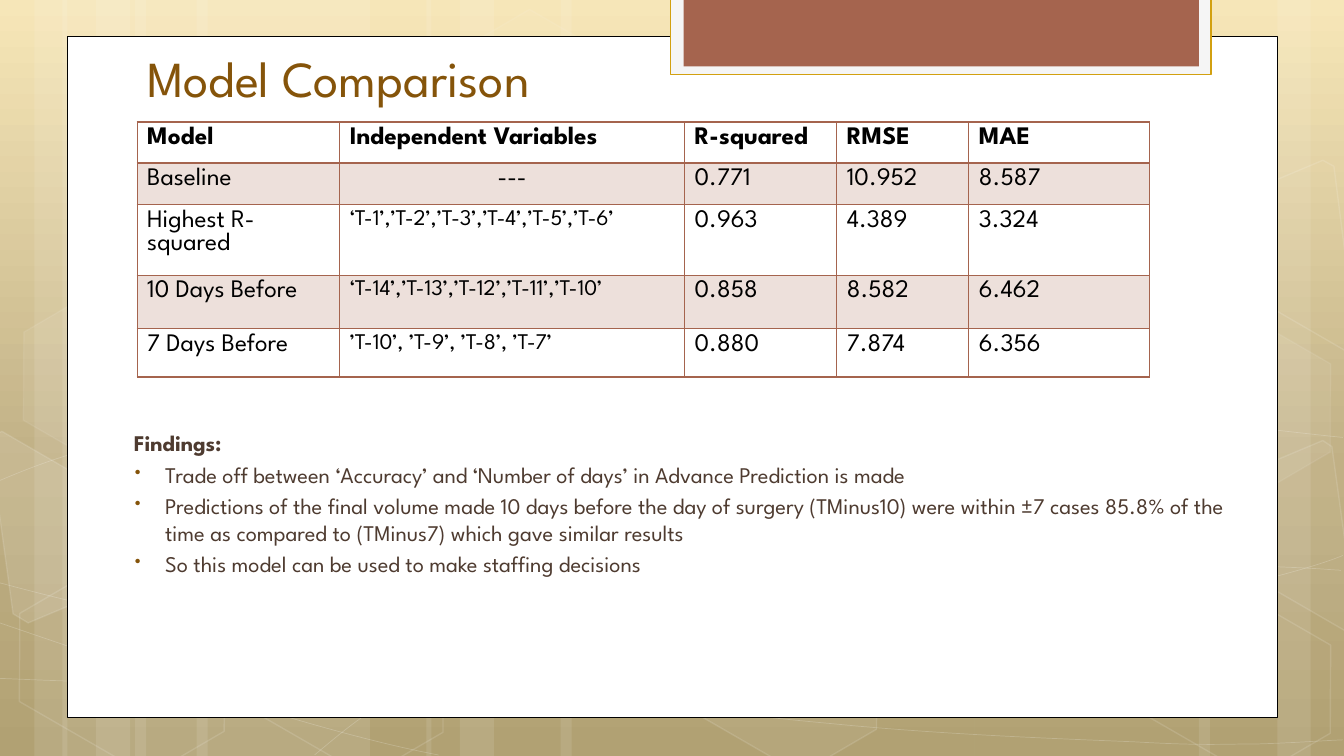
"""Build the Model Comparison slide: a decorated backdrop, a results table and findings."""
from copy import deepcopy
from lxml.etree import SubElement
from pptx import Presentation
from pptx.dml.color import RGBColor
from pptx.enum.shapes import MSO_SHAPE
from pptx.enum.text import MSO_ANCHOR, PP_ALIGN
from pptx.oxml import parse_xml
from pptx.oxml.ns import nsdecls, qn
from pptx.util import Inches, Pt

C = {"sky": "F6E4B0", "sand": "BAA878", "earth": "A99764", "white": "FFFFFF",
     "black": "000000", "pale": "F5F5F5", "gold": "D2A010", "rust": "A5644E",
     "brown": "85540A", "text": "4E3B30"}
FONT = "League Spartan"
W, H = Inches(13.33), Inches(7.5)
ROWS = 750
U = H // ROWS


def paint(fill, color=None, opacity=100):
    if color is None:
        fill.background()
        return
    fill.solid()
    fill.fore_color.rgb = RGBColor.from_string(C[color])
    if opacity < 100:
        clr = fill.fore_color._color._xClr
        SubElement(clr, qn("a:alpha")).set("val", str(opacity * 1000))


def write(p, text, size=18, color="black", bold=False, align=PP_ALIGN.LEFT):
    p.alignment = align
    r = p.add_run()
    r.text = text
    r.font.name, r.font.size, r.font.bold = FONT, Pt(size), bold
    r.font.color.rgb = RGBColor.from_string(C[color])


prs = Presentation()
prs.slide_width, prs.slide_height = W, H
s = prs.slides.add_slide(prs.slide_layouts[6])

bg = s.background.fill
bg.gradient()
bg.gradient_angle = 270
stops = s.element.xpath(".//a:gsLst")[0]
stops.insert(1, deepcopy(stops[0]))
for stop, pos, name in zip(bg.gradient_stops, (0, 0.62, 1), ("sky", "sand", "earth")):
    stop.position = pos
    stop.color.rgb = RGBColor.from_string(C[name])

bands = [(134, 233), (0, 67), (34, 111), (195, 233), (62, 67), (95, 111),
         (967, 233), (1267, 67), (1189, 111), (556, 411), (423, 67), (456, 111)]
for x, w in bands:
    sp = s.shapes.add_shape(MSO_SHAPE.RECTANGLE, x * U, 0, w * U, H)
    paint(sp.fill, "white", 10)
    paint(sp.line.fill)

curves = [
    [(-1, 673), (71, 676), (143, 679), (243, 678), (343, 677), (466, 675), (599, 665),
     (733, 655), (922, 636), (1045, 617), (1167, 598), (1292, 568), (1332, 551)],
    [(-1, 477), (37, 461), (75, 446), (151, 431), (227, 416), (334, 394), (452, 387),
     (571, 380), (714, 379), (861, 387), (1008, 395), (1252, 426), (1332, 434)],
    [(-3, 617), (158, 672), (319, 727), (435, 749)],
    [(-1, 578), (40, 589), (82, 600), (160, 616), (237, 631), (353, 656), (464, 673),
     (576, 690), (716, 708), (826, 718), (937, 729), (1055, 733), (1126, 736),
     (1196, 740), (1214, 738), (1249, 738), (1283, 737), (1308, 735), (1332, 734)],
    [(312, 749), (336, 729), (359, 709), (392, 691), (424, 673), (469, 653), (506, 639),
     (543, 625), (566, 619), (615, 609), (664, 599), (754, 585), (800, 578),
     (847, 571), (854, 571), (896, 569), (937, 566), (1002, 563), (1048, 562),
     (1094, 561), (1171, 562), (1171, 562), (1200, 562), (1230, 562), (1259, 562),
     (1284, 563), (1306, 564), (1318, 565), (1330, 566), (1326, 565), (1330, 566)],
]
for knots in curves:
    points = [(x * U, y * U) for x, y in knots]
    fb = s.shapes.build_freeform(*points[0])
    fb.add_line_segments(points[1:], close=False)
    sp = fb.convert_to_shape()
    outline = sp.element.xpath(".//a:path")[0]
    for i, segment in enumerate(outline.findall(qn("a:lnTo"))):
        if i % 3 == 0:
            bezier = SubElement(outline, qn("a:cubicBezTo"))
        bezier.append(segment[0])
        outline.remove(segment)
    paint(sp.fill)
    paint(sp.line.fill, "white", 20)
    sp.line.width = Pt(0.5)

hexagons = [(434, 36, 4, 8), (651, 589, 6, 12), (4, 591, 0, 12), (8, 312, 7, 8),
            (221, 592, 0, 12), (1101, 593, 0, 12), (1101, 314, 7, 8)]
for x, y, opacity, edge in hexagons:
    sp = s.shapes.add_shape(MSO_SHAPE.HEXAGON, x * U, y * U, 234 * U, 152 * U)
    sp.rotation = 30
    sp.adjustments[0] = 0.285
    paint(sp.fill, "white" if opacity else None, opacity)
    paint(sp.line.fill, "white", edge)
    sp.line.width = Pt(1)

fragments = [
    (10, [(-11, 434), (2, 428), (104, 487), (116, 581), (28, 618), (13, 609)]),
    (4, [(1224, 474), (1312, 437), (1321, 443), (1346, 625), (1338, 628), (1236, 569)]),
    (0, [(1224, 196), (1312, 159), (1323, 165), (1346, 346), (1338, 350), (1236, 291)]),
]
for opacity, corners in fragments:
    points = [(x * U, y * U) for x, y in corners]
    fb = s.shapes.build_freeform(*points[0])
    fb.add_line_segments(points[1:], close=True)
    sp = fb.convert_to_shape()
    paint(sp.fill, "white" if opacity else None, opacity)
    paint(sp.line.fill, "white", 12)
    sp.line.width = Pt(1)

panels = [((67, 36, 1200, 676), "white", "black", 0.5),
          ((665, -2, 536, 76), "pale", "gold", 1),
          ((678, -2, 511, 68), "rust", None, 0)]
for at, fill, edge, width in panels:
    sp = s.shapes.add_shape(MSO_SHAPE.RECTANGLE, *(n * U for n in at))
    paint(sp.fill, fill)
    paint(sp.line.fill, edge)
    if edge:
        sp.line.width = Pt(width)

for sp in s.shapes:
    sp.shadow.inherit = False

tf = s.shapes.add_textbox(136 * U, 50 * U, 919 * U, 62 * U).text_frame
tf.word_wrap = True
tf.vertical_anchor = MSO_ANCHOR.BOTTOM
write(tf.paragraphs[0], "Model Comparison", size=36, color="brown")

results = [
    ("Model", "Independent Variables", "R-squared", "RMSE", "MAE"),
    ("Baseline", "---", "0.771", "10.952", "8.587"),
    ("Highest R-squared", "‘T-1’,’T-2’,’T-3’,’T-4’,’T-5’,’T-6’", "0.963", "4.389", "3.324"),
    ("10 Days Before", "‘T-14’,’T-13’,’T-12’,’T-11’,’T-10’", "0.858", "8.582", "6.462"),
    ("7 Days Before", "’T-10’, ’T-9’, ’T-8’, ’T-7’", "0.880", "7.874", "6.356"),
]
col_widths = (201, 342, 151, 131, 179)
row_heights = (41, 41, 41, 53, 48)
tbl = s.shapes.add_table(len(results), len(col_widths), 136 * U, 121 * U,
                         sum(col_widths) * U, sum(row_heights) * U).table
tbl.first_row = tbl.horz_banding = False
for col, w in zip(tbl.columns, col_widths):
    col.width = w * U
for i, (row, h) in enumerate(zip(results, row_heights)):
    tbl.rows[i].height = h * U
    for j, text in enumerate(row):
        cell = tbl.cell(i, j)
        write(cell.text_frame.paragraphs[0], text, bold=i == 0,
              size=16 if j == 1 and i > 1 else 18,
              align=PP_ALIGN.CENTER if text == "---" else PP_ALIGN.LEFT)
        paint(cell.fill, "rust" if i % 2 else None, 20)
        tcPr = cell._tc.get_or_add_tcPr()
        for k, side in enumerate("LRTB"):
            thick = (i, side) in ((0, "B"), (1, "T"))
            tcPr.insert(k, parse_xml(
                f'<a:ln{side} {nsdecls("a")} w="{Pt(2 if thick else 1)}"><a:solidFill>'
                f'<a:srgbClr val="{C["rust"]}"/></a:solidFill></a:ln{side}>'))

findings = [
    "Findings:",
    "Trade off between ‘Accuracy’ and ‘Number of days’ in Advance Prediction is made",
    "Predictions of the final volume made 10 days before the day of surgery (TMinus10) were "
    "within ±7 cases 85.8% of the time as compared to (TMinus7) which gave similar results",
    "So this model can be used to make staffing decisions",
]
tf = s.shapes.add_textbox(116 * U, 421 * U, 1123 * U, 268 * U).text_frame
tf.word_wrap = True
for i, text in enumerate(findings):
    p = tf.add_paragraph() if i else tf.paragraphs[0]
    write(p, text, size=16, color="text", bold=i == 0)
    p.line_spacing, p.space_before = Pt(19.3), Pt(3)
    pPr = p._p.get_or_add_pPr()
    pPr.set("marL", str((38 if i else 7) * U))
    pPr.set("indent", str((-30 if i else 0) * U))
    if i:
        SubElement(SubElement(pPr, qn("a:buClr")), qn("a:srgbClr")).set("val", C["brown"])
        SubElement(pPr, qn("a:buSzPct")).set("val", "76000")
        SubElement(pPr, qn("a:buChar")).set("char", "•")

prs.save("out.pptx")
